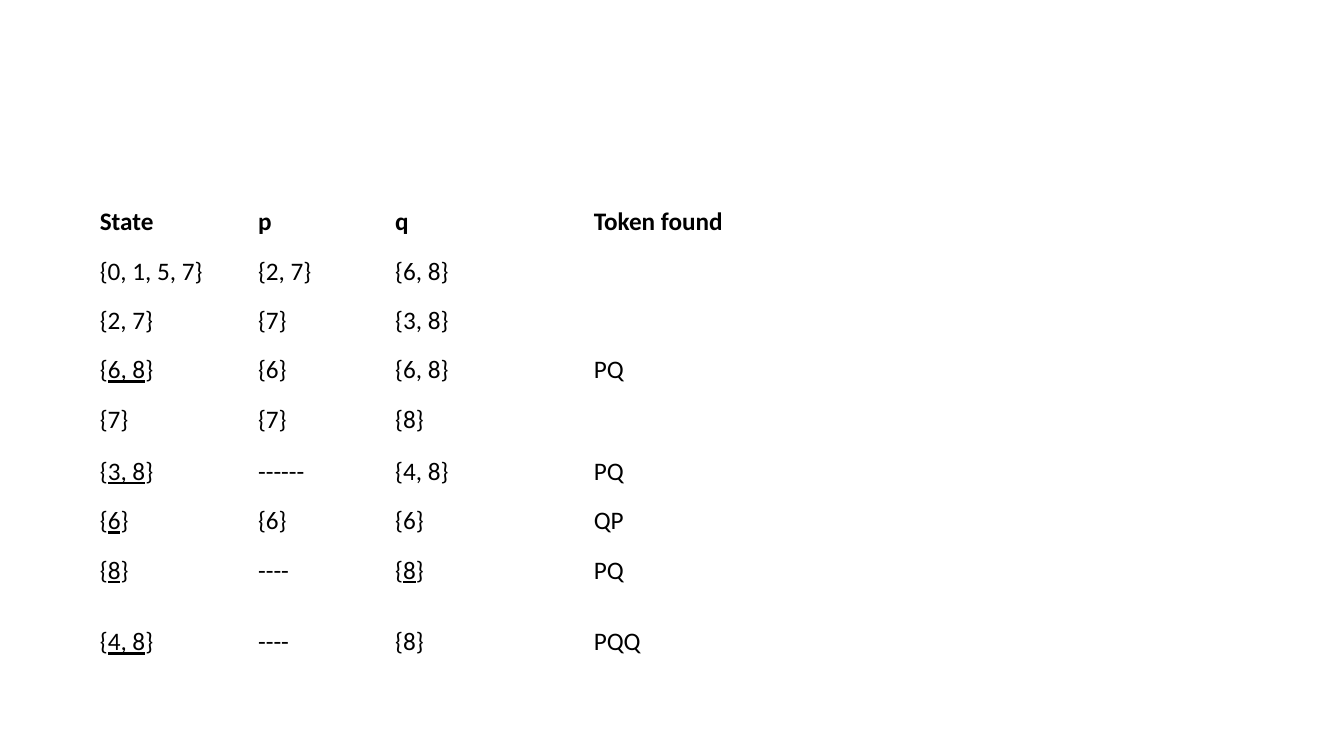
from lxml import etree
from pptx import Presentation
from pptx.dml.color import RGBColor
from pptx.oxml.ns import qn
from pptx.util import Inches, Pt

# Text between underscores is underlined.
ROWS = [
    ("State", "p", "q", "Token found"),
    ("{0, 1, 5, 7}", "{2, 7}", "{6, 8}", ""),
    ("{2, 7}", "{7}", "{3, 8}", ""),
    ("{_6, 8_}", "{6}", "{6, 8}", "PQ"),
    ("{7}", "{7}", "{8}", ""),
    ("{_3, 8_}", "------", "{4, 8}", "PQ"),
    ("{_6_}", "{6}", "{6}", "QP"),
    ("{_8_}", "----", "{_8_}", "PQ"),
    ("{_4, 8_}", "----", "{8}", "PQQ"),
    ("", "", "", ""),
]
COLUMN_WIDTHS = (1.57, 1.36, 1.97, 4.1)
ROW_HEIGHT = 0.49
SPECIAL_HEIGHTS = {4: 0.52, 7: 0.71, 9: 0.72}
COLORS = {"text": "000000", "fill": "FFFFFF", "border": "FFFFFF"}
TEXT_FORMAT = {"name": "Calibri", "size": Pt(18)}


def add_borders(cell, bottom_width):
    properties = cell._tc.get_or_add_tcPr()
    widths = {"lnL": 1, "lnR": 1, "lnT": 1, "lnB": bottom_width}
    for tag, width in widths.items():
        line = etree.SubElement(properties, qn(f"a:{tag}"), w=str(Pt(width)))
        fill = etree.SubElement(line, qn("a:solidFill"))
        etree.SubElement(fill, qn("a:srgbClr"), val=COLORS["border"])


def write_text(cell, text, bold):
    paragraph = cell.text_frame.paragraphs[0]
    for index, part in enumerate(text.split("_")):
        if not part:
            continue
        run = paragraph.add_run()
        run.text = part
        run_format = {**TEXT_FORMAT, "bold": bold, "underline": index % 2 == 1}
        for name, value in run_format.items():
            setattr(run.font, name, value)
        run.font.color.rgb = RGBColor.from_string(COLORS["text"])


presentation = Presentation()
presentation.slide_width = Inches(13.33)
presentation.slide_height = Inches(7.5)
slide = presentation.slides.add_slide(presentation.slide_layouts[6])

heights = [SPECIAL_HEIGHTS.get(index, ROW_HEIGHT) for index in range(len(ROWS))]
table = slide.shapes.add_table(
    len(ROWS), len(COLUMN_WIDTHS), Inches(0.89), Inches(2),
    Inches(sum(COLUMN_WIDTHS)), Inches(sum(heights)),
).table
for column, width in zip(table.columns, COLUMN_WIDTHS):
    column.width = Inches(width)

for row_index, (row, height, texts) in enumerate(zip(table.rows, heights, ROWS)):
    row.height = Inches(height)
    is_header = row_index == 0
    for cell, text in zip(row.cells, texts):
        add_borders(cell, 3 if is_header else 1)
        cell.fill.solid()
        cell.fill.fore_color.rgb = RGBColor.from_string(COLORS["fill"])
        write_text(cell, text, is_header)

presentation.save("out.pptx")
